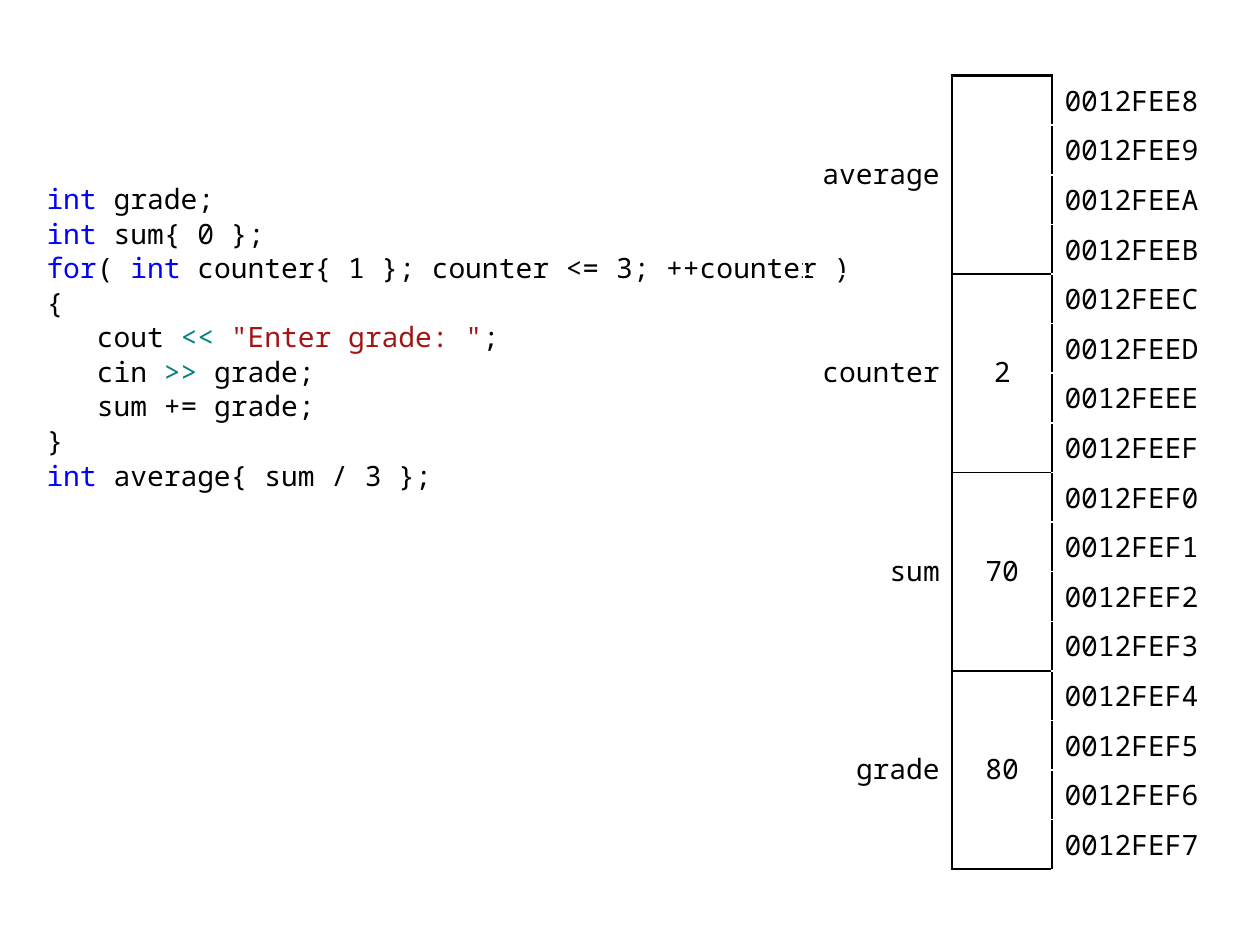
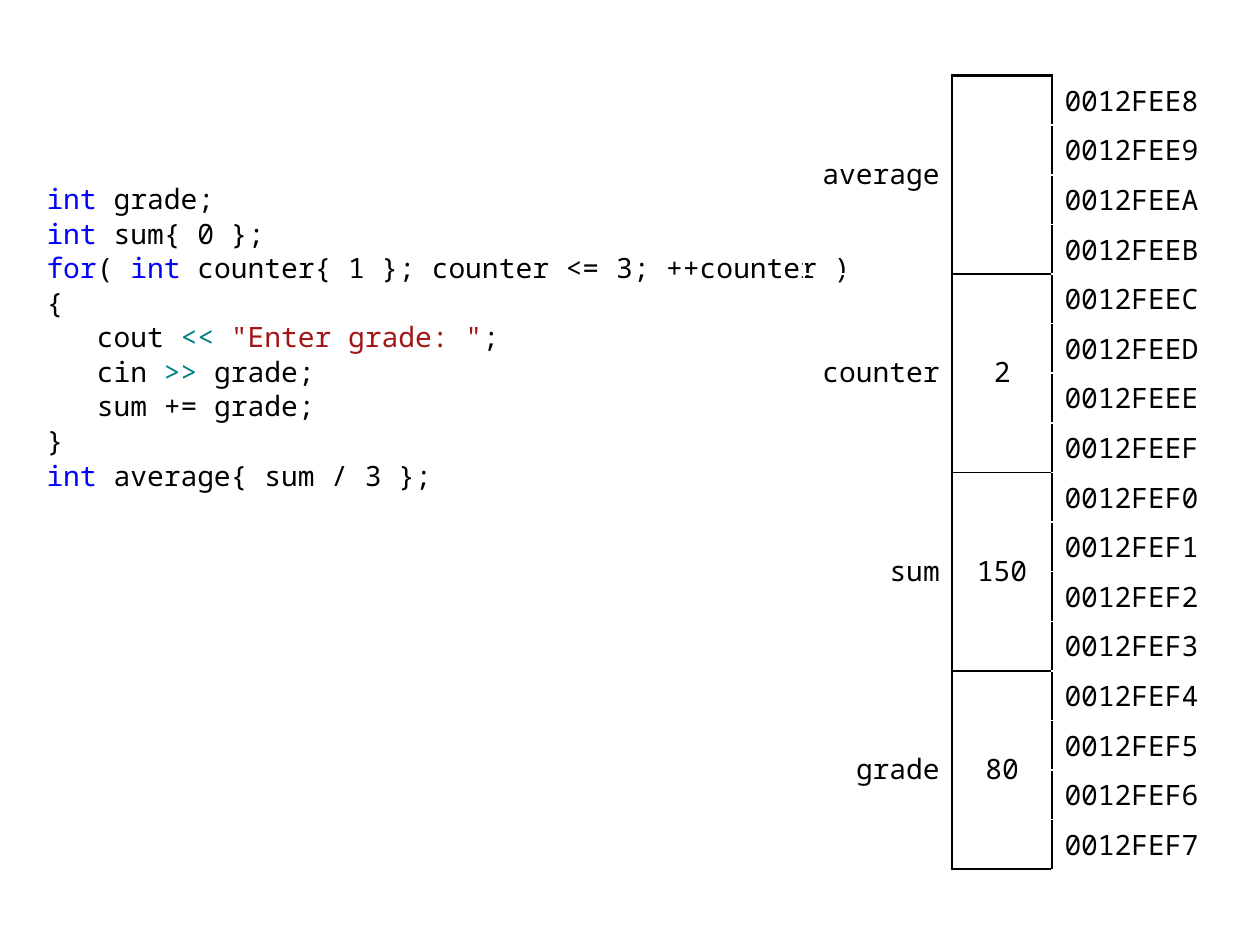
from dataclasses import dataclass

import pptx
import pptx.dml.color
import pptx.enum.text
import pptx.oxml.ns
import pptx.util
from lxml import etree

Pt = pptx.util.Pt
Align = pptx.enum.text.PP_ALIGN
Anchor = pptx.enum.text.MSO_ANCHOR


@dataclass(frozen=True)
class Theme:
    font: str = "Noto Sans Mono"
    size: float = 16
    plain: str = "000000"
    keyword: str = "0000FF"
    operator: str = "008080"
    string: str = "A31515"
    line: str = "000000"
    outer_line: float = 1.5
    inner_line: float = 1


THEME = Theme()


@dataclass(frozen=True)
class Span:
    text: str
    color: str = THEME.plain


@dataclass(frozen=True)
class CodeLine:
    spans: tuple[Span, ...]
    indented: bool = False


@dataclass(frozen=True)
class Variable:
    name: str
    value: str = ""


@dataclass(frozen=True)
class Margins:
    side: float
    top: float
    bottom: float


INT = Span("int ", THEME.keyword)
CODE = (
    CodeLine((INT, Span("grade;"))),
    CodeLine((INT, Span("sum{ 0 };"))),
    CodeLine((Span("for", THEME.keyword), Span("( "), Span("int", THEME.keyword),
              Span(" counter{ 1 }; counter <= 3; ++counter )"))),
    CodeLine((Span("{"),)),
    CodeLine((Span("cout "), Span("<< ", THEME.operator),
              Span('"Enter grade: "', THEME.string), Span(";")), indented=True),
    CodeLine((Span("cin "), Span(">>", THEME.operator), Span(" grade;")), indented=True),
    CodeLine((Span("sum += grade;"),), indented=True),
    CodeLine((Span("}"),)),
    CodeLine((INT, Span("average{ sum / 3 };"))),
)
CODE_INDENT = 28.8
CODE_GAP = 0.57

SUMS = ("70", "150")
FIRST_ADDRESS = 0x0012FEE8
BYTES_PER_INT = 4
COLUMN_WIDTHS = (84.9, 56.9, 99.4)
ROW_HEIGHT = 28.35
LABEL_MARGINS = Margins(7.2, 0, 1.44)
VALUE_MARGINS = Margins(5.76, 0, 1.44)
ADDRESS_MARGINS = Margins(7.2, 2.88, 2.88)


def add_span(para, span: Span) -> None:
    run = para.add_run()
    run.text = span.text
    run.font.name = THEME.font
    run.font.size = Pt(THEME.size)
    run.font.color.rgb = pptx.dml.color.RGBColor.from_string(span.color)


def add_code(page) -> None:
    box = page.placeholders[1]
    box.left, box.top, box.width, box.height = Pt(19.4), Pt(100.1), Pt(481.7), Pt(212.4)
    frame = box.text_frame
    frame.word_wrap = True
    frame.auto_size = pptx.enum.text.MSO_AUTO_SIZE.NONE
    frame.vertical_anchor = Anchor.TOP
    for number, line in enumerate(CODE):
        para = frame.add_paragraph() if number else frame.paragraphs[0]
        para.space_before = Pt(CODE_GAP)
        properties = para._p.get_or_add_pPr()
        properties.set("marL", str(Pt(CODE_INDENT if line.indented else 0)))
        properties.set("indent", "0")
        etree.SubElement(properties, pptx.oxml.ns.qn("a:buNone"))
        for span in line.spans:
            add_span(para, span)


def set_borders(cell, **widths: float) -> None:
    """Draw the named sides (L, R, T, B), given in that order, at these widths."""
    properties = cell._tc.get_or_add_tcPr()
    for side, width in widths.items():
        line = etree.SubElement(properties, pptx.oxml.ns.qn(f"a:ln{side}"), w=str(Pt(width)))
        fill = etree.SubElement(line, pptx.oxml.ns.qn("a:solidFill"))
        etree.SubElement(fill, pptx.oxml.ns.qn("a:srgbClr"), val=THEME.line)


def format_cell(cell, margins: Margins) -> None:
    cell.margin_left = cell.margin_right = Pt(margins.side)
    cell.margin_top, cell.margin_bottom = Pt(margins.top), Pt(margins.bottom)
    cell.vertical_anchor = Anchor.MIDDLE
    cell.fill.background()


def write_cell(cell, text: str, align: Align) -> None:
    para = cell.text_frame.paragraphs[0]
    para.alignment = align
    if text:
        add_span(para, Span(text))


def add_memory(page, variables: tuple[Variable, ...]) -> None:
    """Draw one row per byte, with each variable's cells merged over its bytes."""
    row_count = len(variables) * BYTES_PER_INT
    table = page.shapes.add_table(row_count, len(COLUMN_WIDTHS), Pt(459.3), Pt(43.2),
                                  Pt(sum(COLUMN_WIDTHS)), Pt(row_count * ROW_HEIGHT)).table
    table.first_row = table.horz_banding = False
    for column, width in zip(table.columns, COLUMN_WIDTHS):
        column.width = Pt(width)

    outer = THEME.outer_line
    for row in range(row_count):
        table.rows[row].height = Pt(ROW_HEIGHT)
        index, byte = divmod(row, BYTES_PER_INT)
        label, value, address = (table.cell(row, column) for column in range(3))
        edges = {"L": outer, "R": outer}
        if byte == 0:
            edges["T"] = THEME.inner_line if index else outer
        if byte in (0, BYTES_PER_INT - 1):
            edges["B"] = outer if index == len(variables) - 1 else THEME.inner_line
        set_borders(label, R=outer)
        set_borders(value, **edges)
        set_borders(address, L=outer)
        format_cell(label, LABEL_MARGINS)
        format_cell(value, VALUE_MARGINS)
        format_cell(address, ADDRESS_MARGINS)
        write_cell(address, f"{FIRST_ADDRESS + row:08X}", Align.LEFT)

    for index, variable in enumerate(variables):
        first = index * BYTES_PER_INT
        last = first + BYTES_PER_INT - 1
        for column, text, align in ((0, variable.name, Align.RIGHT),
                                    (1, variable.value, Align.CENTER)):
            cell = table.cell(first, column)
            cell.merge(table.cell(last, column))
            write_cell(cell, text, align)


def add_page(deck, total: str) -> None:
    page = deck.slides.add_slide(deck.slide_layouts[1])
    title = page.shapes.title.element
    title.getparent().remove(title)
    add_code(page)
    add_memory(page, (Variable("average"), Variable("counter", "2"),
                      Variable("sum", total), Variable("grade", "80")))


def main() -> None:
    deck = pptx.Presentation()
    deck.slide_width, deck.slide_height = Pt(720), Pt(540)
    for total in SUMS:
        add_page(deck, total)
    deck.save("out.pptx")


if __name__ == "__main__":
    main()
